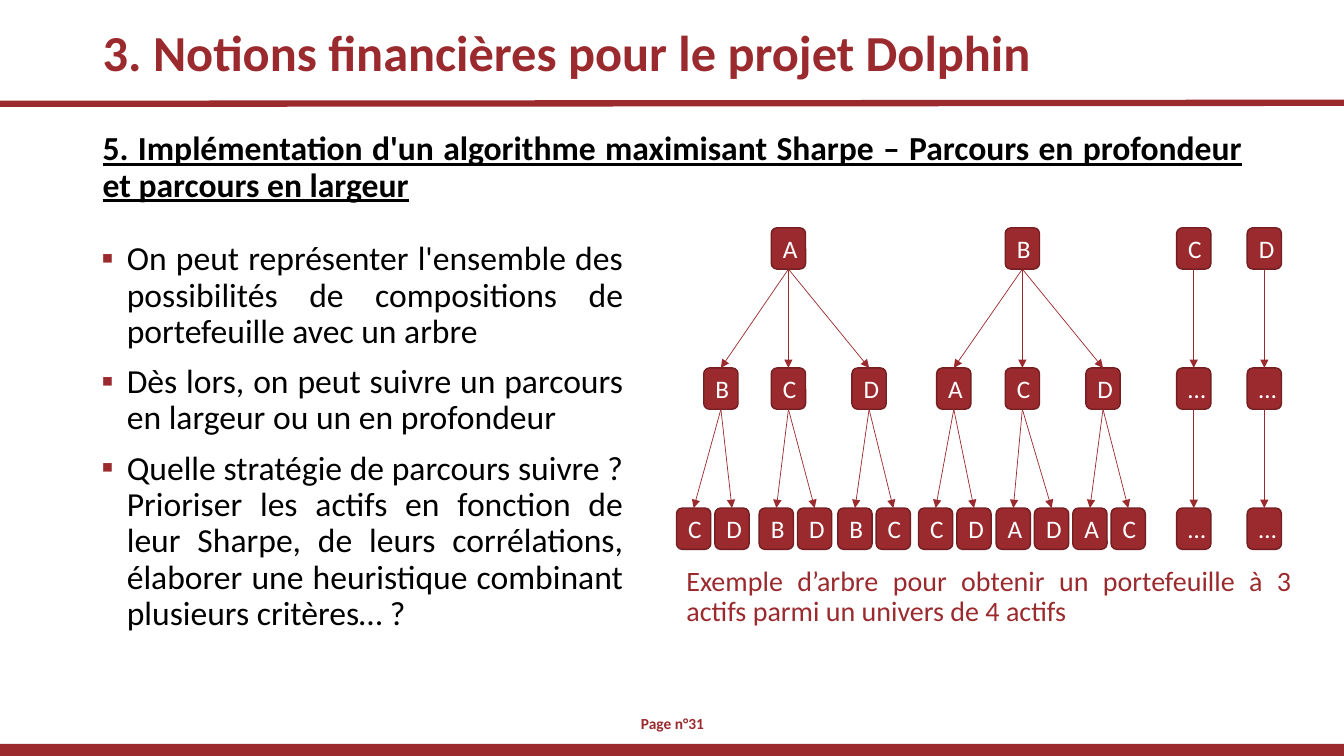
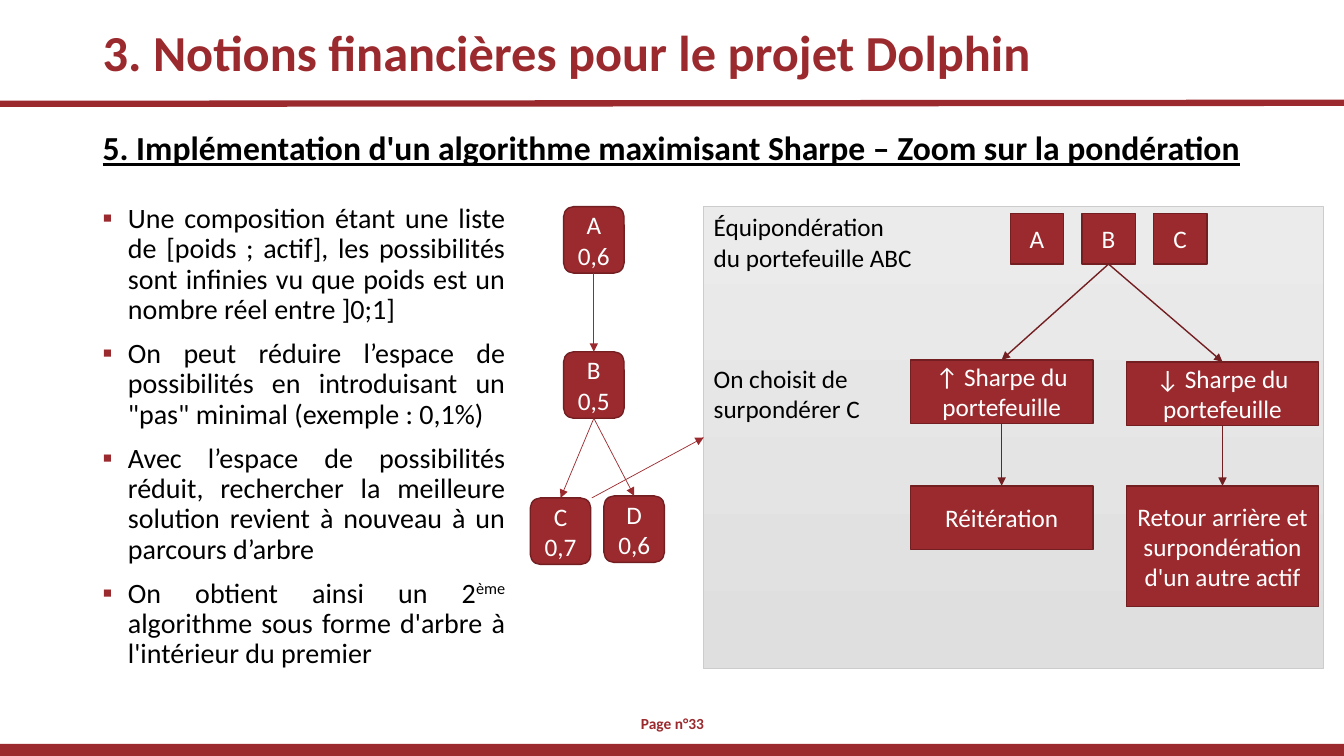
from pptx import Presentation
from pptx.dml.color import RGBColor
from pptx.enum.shapes import MSO_CONNECTOR, MSO_SHAPE
from pptx.enum.text import MSO_ANCHOR, PP_ALIGN
from pptx.oxml.ns import qn
from pptx.util import Inches, Pt
from lxml.etree import SubElement

RED = RGBColor(0x9B, 0x2A, 0x2E)
DARK_RED = RGBColor(0x73, 0x1F, 0x22)
BLACK = RGBColor(0, 0, 0)
WHITE = RGBColor(0xFF, 0xFF, 0xFF)
PANEL_TOP = RGBColor(0xEB, 0xEB, 0xEB)
PANEL_BOTTOM = RGBColor(0xDF, 0xDF, 0xDF)
PANEL_EDGE = RGBColor(0xCC, 0xCC, 0xCC)

FONT = "Calibri"
TOP, LEFT, BOTTOM, RIGHT = range(4)
WIDTH, HEIGHT = 13.33, 7.5

TITLE = "3. Notions financières pour le projet Dolphin"
JUSTIFIED = {"alignment": PP_ALIGN.JUSTIFY, "line_spacing": 0.9, "space_before": Pt(10)}
CENTRED = {"alignment": PP_ALIGN.CENTER}
TITLE_FONT = {"size": Pt(36), "bold": True}
HEADING_FONT = {"size": Pt(24), "bold": True, "underline": True}
PAGE_FONT = {"size": Pt(11), "bold": True}
LABEL_FONT = {"size": Pt(18)}

ASSETS = "ABCD"


def apply(target, formats):
    for name, value in formats.items():
        setattr(target, name, value)


def write(frame, texts, font, color, layout, anchor=MSO_ANCHOR.TOP):
    frame.word_wrap = True
    frame.vertical_anchor = anchor
    for index, text in enumerate(texts):
        paragraph = frame.paragraphs[0] if index == 0 else frame.add_paragraph()
        apply(paragraph, layout)
        for position, part in enumerate(text.split("^")):
            run = paragraph.add_run()
            run.text = part
            apply(run.font, {"name": FONT, **font})
            run.font.color.rgb = color
            if position % 2:
                run.font._element.set("baseline", "30000")


def add_text(slide, box, texts, font, color, layout, anchor=MSO_ANCHOR.TOP):
    frame = slide.shapes.add_textbox(*map(Inches, box)).text_frame
    write(frame, texts, font, color, layout, anchor)
    return frame


def add_bullets(slide, box, texts, size):
    frame = add_text(slide, box, texts, {"size": Pt(size)}, BLACK, JUSTIFIED)
    for paragraph in frame.paragraphs:
        properties = paragraph._p.get_or_add_pPr()
        properties.set("marL", str(Inches(0.25)))
        properties.set("indent", str(-Inches(0.25)))
        bullet_color = SubElement(properties, qn("a:buClr"))
        SubElement(bullet_color, qn("a:srgbClr"), val=str(RED))
        SubElement(properties, qn("a:buFont"), typeface=FONT)
        SubElement(properties, qn("a:buChar"), char="▪")


def add_node(slide, box, texts, kind=MSO_SHAPE.ROUNDED_RECTANGLE):
    node = slide.shapes.add_shape(kind, *map(Inches, box))
    node.shadow.inherit = False
    node.fill.solid()
    node.fill.fore_color.rgb = RED
    node.line.color.rgb = DARK_RED
    node.line.width = Pt(1)
    write(node.text_frame, texts, LABEL_FONT, WHITE, CENTRED, MSO_ANCHOR.MIDDLE)
    return node


def add_line(slide, start, end, color, width):
    line = slide.shapes.add_connector(MSO_CONNECTOR.STRAIGHT, *map(Inches, start + end))
    line.line.color.rgb = color
    line.line.width = Pt(width)
    SubElement(line._element.spPr, qn("a:effectLst"))
    return line


def add_arrow(slide, target, source=None, side=TOP, start=(0, 0), color=RED, width=0.5):
    arrow = add_line(slide, start, start, color, width)
    if source is not None:
        arrow.begin_connect(source, BOTTOM)
    arrow.end_connect(target, side)
    SubElement(arrow.line._get_or_add_ln(), qn("a:tailEnd"), type="triangle")


def add_frame(deck, heading, page):
    slide = deck.slides.add_slide(deck.slide_layouts[6])
    band = slide.shapes.add_shape(
        MSO_SHAPE.RECTANGLE, *map(Inches, (0, HEIGHT - 0.12, WIDTH, 0.12)))
    band.shadow.inherit = False
    band.fill.solid()
    band.fill.fore_color.rgb = RED
    band.line.fill.background()
    add_line(slide, (0, 1.03), (WIDTH, 1.02), RED, 4.5)
    add_text(slide, (0.92, 0.21, 11.5, 0.68), [TITLE], TITLE_FONT, RED,
             {"line_spacing": 0.9}, MSO_ANCHOR.MIDDLE)
    add_text(slide, (0.92, 1.26, 11.5, 0.8), [heading], HEADING_FONT, BLACK, JUSTIFIED)
    add_text(slide, (6.16, 6.98, 1.02, 0.4), [f"Page n°{page}"], PAGE_FONT, RED,
             CENTRED, MSO_ANCHOR.MIDDLE)
    return slide


def add_portfolio_tree(slide, left, top):
    full_trees = {
        "A": (0.94, (0.27, 0.94, 1.74), (0, 0.82, 1.6)),
        "B": (3.26, (2.58, 3.26, 4.06), (2.4, 3.17, 3.93)),
    }
    short_trees = {"C": 4.96, "D": 5.66}

    def place(label, x, level, parent=None):
        node = add_node(slide, (left + x, top + 1.39 * level, 0.34, 0.41), [label])
        if parent is not None:
            add_arrow(slide, node, parent)
        return node

    for asset, (root_x, branch_xs, leaf_xs) in full_trees.items():
        root = place(asset, root_x, 0)
        for second, branch_x, leaf_x in zip(ASSETS.replace(asset, ""), branch_xs, leaf_xs):
            branch = place(second, branch_x, 1, root)
            remaining = ASSETS.replace(asset, "").replace(second, "")
            for index, third in enumerate(remaining):
                place(third, leaf_x + 0.38 * index, 2, branch)
    for asset, x in short_trees.items():
        node = place(asset, x, 0)
        for level in (1, 2):
            node = place("…", x, level, node)


def add_weight_tree(slide, left, top):
    def place(asset, weight, x, y):
        return add_node(slide, (left + x, top + y, 0.6, 0.66), [asset, weight])

    first = place("A", "0,6", 0.33, 0)
    second = place("B", "0,5", 0.33, 1.44)
    third = place("C", "0,7", 0, 2.89)
    other = place("D", "0,6", 0.73, 2.87)
    for source, target in ((first, second), (second, third), (second, other)):
        add_arrow(slide, target, source)


def add_weighting_panel(slide, left, top, width, height):
    panel = slide.shapes.add_shape(
        MSO_SHAPE.RECTANGLE, *map(Inches, (left, top, width, height)))
    panel.shadow.inherit = False
    panel.fill.gradient()
    panel.fill.gradient_angle = 270
    for stop, color in zip(panel.fill.gradient_stops, (PANEL_TOP, PANEL_BOTTOM)):
        stop.color.rgb = color
    panel.line.color.rgb = PANEL_EDGE
    panel.line.width = Pt(0.5)
    steps = ["Équipondération", "du portefeuille ABC", "On choisit de", "surpondérer C"]
    write(panel.text_frame, steps, LABEL_FONT, BLACK, {"alignment": PP_ALIGN.LEFT})
    panel.text_frame.paragraphs[2].space_before = Pt(65)

    def place(text, x, y, box_width, box_height):
        return add_node(slide, (left + x, top + y, box_width, box_height), [text],
                        MSO_SHAPE.RECTANGLE)

    assets = [place(asset, 3.04 + 0.71 * index, 0.07, 0.53, 0.5)
              for index, asset in enumerate("ABC")]
    rise = place("↑ Sharpe du portefeuille", 2.05, 1.52, 1.81, 0.63)
    fall = place("↓ Sharpe du portefeuille", 4.19, 1.54, 1.91, 0.63)
    repeat = place("Réitération", 2.05, 2.77, 1.81, 0.63)
    back = place("Retour arrière et surpondération d'un autre actif", 4.19, 2.77, 1.91, 1.2)
    for source, target in ((assets[1], rise), (assets[1], fall), (rise, repeat), (fall, back)):
        add_arrow(slide, target, source, color=DARK_RED, width=1)
    return panel


def build_search_slide(deck):
    slide = add_frame(
        deck,
        "5. Implémentation d'un algorithme maximisant Sharpe – "
        "Parcours en profondeur et parcours en largeur", 31)
    add_bullets(slide, (0.91, 2.35, 5.37, 4.52), [
        "On peut représenter l'ensemble des possibilités de compositions de "
        "portefeuille avec un arbre",
        "Dès lors, on peut suivre un parcours en largeur ou un en profondeur",
        "Quelle stratégie de parcours suivre ? Prioriser les actifs en fonction de leur "
        "Sharpe, de leurs corrélations, élaborer une heuristique combinant plusieurs "
        "critères… ?",
    ], 24)
    add_portfolio_tree(slide, 6.71, 2.26)
    add_text(slide, (6.71, 5.58, 6.2, 1.01), [
        "Exemple d’arbre pour obtenir un portefeuille à 3 actifs parmi un univers de 4 actifs",
    ], {"size": Pt(20)}, RED, JUSTIFIED)


def build_weighting_slide(deck):
    slide = add_frame(
        deck,
        "5. Implémentation d'un algorithme maximisant Sharpe – Zoom sur la pondération", 33)
    add_bullets(slide, (0.92, 1.98, 4.19, 4.76), [
        "Une composition étant une liste de [poids ; actif], les possibilités sont "
        "infinies vu que poids est un nombre réel entre ]0;1]",
        "On peut réduire l’espace de possibilités en introduisant un \"pas\" minimal "
        "(exemple : 0,1%)",
        "Avec l’espace de possibilités réduit, rechercher la meilleure solution revient "
        "à nouveau à un parcours d’arbre",
        "On obtient ainsi un 2^ème^ algorithme sous forme d'arbre à l'intérieur du premier",
    ], 20)
    add_weight_tree(slide, 5.26, 2.05)
    panel = add_weighting_panel(slide, 6.98, 2.05, 6.15, 4.58)
    add_arrow(slide, panel, side=LEFT, start=(5.87, 4.94))


def main():
    deck = Presentation()
    deck.slide_width = Inches(WIDTH)
    deck.slide_height = Inches(HEIGHT)
    build_search_slide(deck)
    build_weighting_slide(deck)
    deck.save("out.pptx")


if __name__ == "__main__":
    main()
